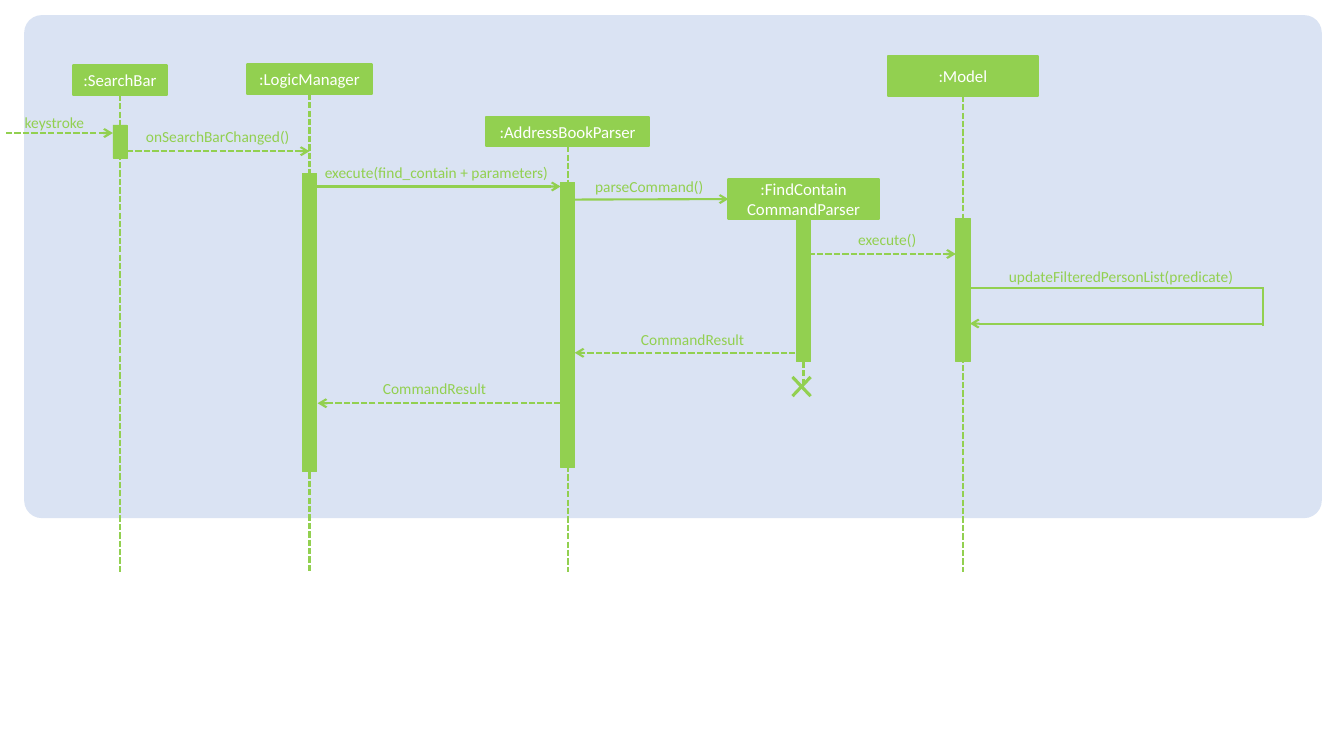
from dataclasses import dataclass

from lxml import etree
from pptx import Presentation
from pptx import util as u
from pptx.dml import color
from pptx.enum import dml, shapes, text
from pptx.oxml import ns
from pptx.shapes.autoshape import Shape
from pptx.shapes.connector import Connector
from pptx.slide import Slide


@dataclass(frozen=True)
class Theme:
    panel: color.RGBColor = color.RGBColor(0xDA, 0xE3, 0xF3)
    accent: color.RGBColor = color.RGBColor(0x92, 0xD0, 0x50)
    head_text: color.RGBColor = color.RGBColor(0xFF, 0xFF, 0xFF)
    font: str = "Calibri"
    head_size: float = 12
    label_size: float = 11
    line_width: float = 1.5
    bar_line_width: float = 0.5
    cross_width: float = 2.25


@dataclass(frozen=True)
class Lifeline:
    """A participant centred on x, with its head box and activation bar."""
    name: str
    x: float
    head_top: float
    head_width: float
    head_height: float
    bar_top: float
    bar_height: float
    end: float = 5.67


@dataclass(frozen=True)
class Message:
    """A labelled horizontal arrow; label_x is the centre of the label."""
    label: str
    start: float
    end: float
    y: float
    label_x: float
    label_top: float
    dashed: bool = True
    label_width: float = 2.34
    target: str = ""


THEME = Theme()
BAR_WIDTH = 0.14
LABEL_HEIGHT = 0.19

LIFELINES = [
    Lifeline(":SearchBar", 1.19, 0.65, 0.94, 0.29, 1.24, 0.33),
    Lifeline(":LogicManager", 3.07, 0.64, 1.24, 0.29, 1.72, 2.96),
    Lifeline(":AddressBookParser", 5.63, 1.16, 1.62, 0.29, 1.81, 2.83),
    Lifeline(":FindContain\nCommandParser", 7.97, 1.78, 1.49, 0.39, 2.17, 1.42, 3.81),
    Lifeline(":Model", 9.55, 0.56, 1.49, 0.39, 2.17, 1.42),
]

MESSAGES = [
    Message("keystroke", 0.06, 1.12, 1.32, 0.54, 1.12, label_width=1.08),
    Message("onSearchBarChanged()", 1.26, 3.07, 1.5, 2.16, 1.26, label_width=1.68),
    Message("execute(find_contain + parameters)", 3.14, 5.56, 1.85, 4.33, 1.62, dashed=False),
    Message("parseCommand()", 5.7, 7.22, 1.98, 6.44, 1.76, dashed=False,
            target=":FindContain\nCommandParser"),
    Message("execute()", 8.02, 9.48, 2.52, 8.8, 2.28),
    Message("CommandResult", 7.89, 5.7, 3.5, 6.87, 3.27),
    Message("CommandResult", 5.56, 3.15, 4, 4.31, 3.76),
]


def add_box(slide: Slide, kind: shapes.MSO_SHAPE, left: float, top: float, width: float,
            height: float, fill: color.RGBColor, line_width: float = 0) -> Shape:
    shape = slide.shapes.add_shape(
        kind, u.Inches(left), u.Inches(top), u.Inches(width), u.Inches(height))
    shape.shadow.inherit = False
    shape.fill.solid()
    shape.fill.fore_color.rgb = fill
    if line_width:
        shape.line.color.rgb = fill
        shape.line.width = u.Pt(line_width)
    else:
        shape.line.fill.background()
    return shape


def write_text(shape: Shape, content: str, size: float, rgb: color.RGBColor) -> None:
    frame = shape.text_frame
    frame.word_wrap = True
    for index, line in enumerate(content.split("\n")):
        paragraph = frame.add_paragraph() if index else frame.paragraphs[0]
        paragraph.alignment = text.PP_ALIGN.CENTER
        run = paragraph.add_run()
        run.text = line
        run.font.name = THEME.font
        run.font.size = u.Pt(size)
        run.font.color.rgb = rgb


def add_label(slide: Slide, content: str, center: float, top: float, width: float) -> None:
    label = slide.shapes.add_textbox(
        u.Inches(center - width / 2), u.Inches(top), u.Inches(width), u.Inches(LABEL_HEIGHT))
    frame = label.text_frame
    frame.margin_left = frame.margin_right = frame.margin_top = frame.margin_bottom = 0
    frame.auto_size = text.MSO_AUTO_SIZE.SHAPE_TO_FIT_TEXT
    write_text(label, content, THEME.label_size, THEME.accent)


def add_line(slide: Slide, start: tuple[float, float], end: tuple[float, float],
             dashed: bool = False, arrow: bool = False,
             width: float = THEME.line_width) -> Connector:
    points = [u.Inches(value) for value in (*start, *end)]
    connector = slide.shapes.add_connector(shapes.MSO_CONNECTOR.STRAIGHT, *points)
    connector.line.color.rgb = THEME.accent
    connector.line.width = u.Pt(width)
    if dashed:
        connector.line.dash_style = dml.MSO_LINE.SQUARE_DOT
    properties = connector._element.spPr
    if arrow:
        outline = properties.find(ns.qn("a:ln"))
        etree.SubElement(outline, ns.qn("a:tailEnd"), type="arrow")
    etree.SubElement(properties, ns.qn("a:effectLst"))
    return connector


def add_lifeline(slide: Slide, lifeline: Lifeline) -> Shape:
    """Draw the participant and return its head box."""
    head = add_box(slide, shapes.MSO_SHAPE.RECTANGLE, lifeline.x - lifeline.head_width / 2,
                   lifeline.head_top, lifeline.head_width, lifeline.head_height,
                   THEME.accent, THEME.line_width)
    head.text_frame.vertical_anchor = text.MSO_ANCHOR.MIDDLE
    write_text(head, lifeline.name, THEME.head_size, THEME.head_text)
    head_bottom = lifeline.head_top + lifeline.head_height
    stem = add_line(slide, (lifeline.x, head_bottom), (lifeline.x, lifeline.end), dashed=True)
    stem.begin_connect(head, 2)
    add_box(slide, shapes.MSO_SHAPE.RECTANGLE, lifeline.x - BAR_WIDTH / 2, lifeline.bar_top,
            BAR_WIDTH, lifeline.bar_height, THEME.accent, THEME.bar_line_width)
    return head


def add_message(slide: Slide, message: Message, heads: dict[str, Shape]) -> None:
    arrow = add_line(slide, (message.start, message.y), (message.end, message.y),
                     message.dashed, arrow=True)
    if message.target:
        arrow.end_connect(heads[message.target], 1)
    add_label(slide, message.label, message.label_x, message.label_top, message.label_width)


def add_self_call(slide: Slide) -> None:
    left, right, top, bottom = 9.62, 12.53, 2.86, 3.21
    add_line(slide, (left, top), (right, top))
    add_line(slide, (right, top - 0.01), (right, bottom + 0.02))
    add_line(slide, (right, bottom), (left, bottom), arrow=True)
    add_label(slide, "updateFilteredPersonList(predicate)", 11.12, 2.65, 2.34)


def add_destruction_cross(slide: Slide) -> None:
    left, right, top, bottom = 7.86, 8.04, 3.74, 3.93
    add_line(slide, (left, top), (right, bottom), width=THEME.cross_width)
    add_line(slide, (left, bottom), (right, top), width=THEME.cross_width)


def main() -> None:
    presentation = Presentation()
    presentation.slide_width = u.Inches(13.33)
    presentation.slide_height = u.Inches(7.5)
    slide = presentation.slides.add_slide(presentation.slide_layouts[6])

    panel = add_box(slide, shapes.MSO_SHAPE.ROUNDED_RECTANGLE, 0.24, 0.15, 12.87, 4.99,
                    THEME.panel)
    panel.adjustments[0] = 0.035
    heads = {lifeline.name: add_lifeline(slide, lifeline) for lifeline in LIFELINES}
    for message in MESSAGES:
        add_message(slide, message, heads)
    add_self_call(slide)
    add_destruction_cross(slide)
    presentation.save("out.pptx")


if __name__ == "__main__":
    main()
